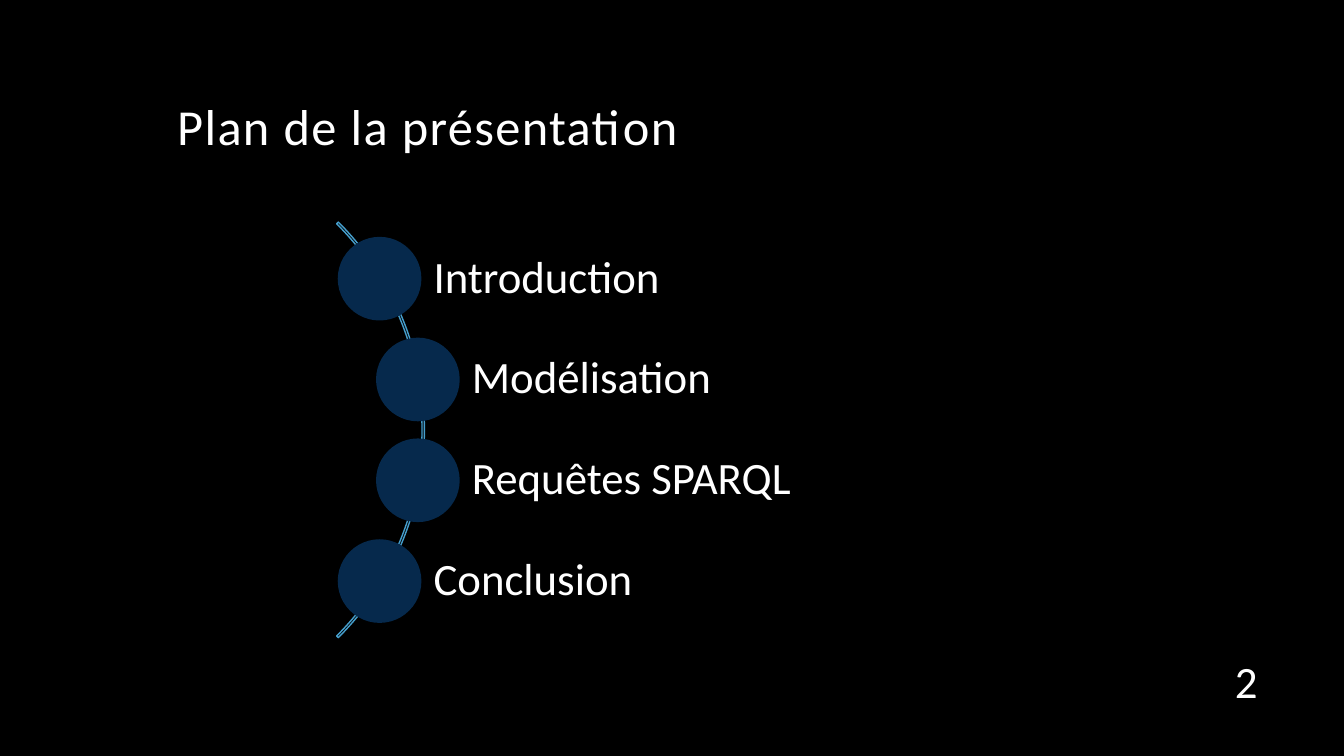
import pptx
import pptx.dml.color
import pptx.enum.shapes
import pptx.enum.text
import pptx.util

EMU_PER_PX = 9144  # 100 px to the inch
FONT = "Calibri"
COLORS = {
    "background": "000000",
    "text": "FFFFFF",
    "circle": "06294C",
    "arc": "459ECC",
}
SECTIONS = ["Introduction", "Modélisation", "Requêtes SPARQL", "Conclusion"]
CIRCLE_LEFTS = [335, 373, 373, 335]
CIRCLE_TOP = 235
CIRCLE_SIZE = 83
ROW_PITCH = 100
LABEL_RIGHT = 1054
LABEL_HEIGHT = 67

SHAPES = pptx.enum.shapes.MSO_SHAPE
ANCHORS = pptx.enum.text.MSO_ANCHOR
ALIGNS = pptx.enum.text.PP_ALIGN


def px(length):
    return pptx.util.Emu(length * EMU_PER_PX)


def color(name):
    return pptx.dml.color.RGBColor.from_string(COLORS[name])


def add_text(page, text, left, top, width, height, size, anchor,
             align=ALIGNS.LEFT, inset=10, line_spacing=1.0, tracking=0):
    """Add a one-line box; inset is its left margin, tracking is in 1/100 pt."""
    box = page.shapes.add_textbox(px(left), px(top), px(width), px(height))
    frame = box.text_frame
    frame.word_wrap = True
    frame.vertical_anchor = anchor
    frame.margin_left = px(inset)
    para = frame.paragraphs[0]
    para.alignment = align
    para.line_spacing = line_spacing
    span = para.add_run()
    span.text = text
    span.font.name = FONT
    span.font.size = pptx.util.Pt(size)
    span.font.color.rgb = color("text")
    if tracking:
        span.font._element.set("spc", str(tracking))


def add_arc(page, left, top, size):
    """Add a thin outlined arc that bulges right, from 315 to 45 degrees."""
    arc = page.shapes.add_shape(SHAPES.BLOCK_ARC, px(left), px(top), px(size), px(size))
    arc.shadow.inherit = False
    arc.adjustments[0] = 189
    arc.adjustments[1] = 27
    arc.adjustments[2] = 0.004
    arc.fill.background()
    arc.line.color.rgb = color("arc")
    arc.line.width = pptx.util.Pt(1)


def add_circle(page, left, top):
    circle = page.shapes.add_shape(
        SHAPES.OVAL, px(left), px(top), px(CIRCLE_SIZE), px(CIRCLE_SIZE))
    circle.shadow.inherit = False
    circle.fill.solid()
    circle.fill.fore_color.rgb = color("circle")
    circle.line.fill.background()


def add_section(page, row, name, circle_left):
    circle_top = CIRCLE_TOP + row * ROW_PITCH
    label_left = circle_left + (CIRCLE_SIZE + 1) // 2
    label_top = circle_top + (CIRCLE_SIZE - LABEL_HEIGHT) // 2
    add_text(page, name, label_left, label_top, LABEL_RIGHT - label_left,
             LABEL_HEIGHT, 32, ANCHORS.MIDDLE, inset=53, line_spacing=0.9)
    add_circle(page, circle_left, circle_top)


def main():
    deck = pptx.Presentation()
    deck.slide_width = px(1333)
    deck.slide_height = px(750)
    page = deck.slides.add_slide(deck.slide_layouts[6])
    page.background.fill.solid()
    page.background.fill.fore_color.rgb = color("background")

    add_text(page, "Plan de la présentation", 166, 60, 1000, 100, 36,
             ANCHORS.BOTTOM, line_spacing=0.9, tracking=100)
    add_text(page, "2", 1165, 660, 92, 30, 32, ANCHORS.MIDDLE, align=ALIGNS.RIGHT)
    add_arc(page, -162, 135, 583)
    for row, (name, circle_left) in enumerate(zip(SECTIONS, CIRCLE_LEFTS)):
        add_section(page, row, name, circle_left)

    deck.save("out.pptx")


if __name__ == "__main__":
    main()
